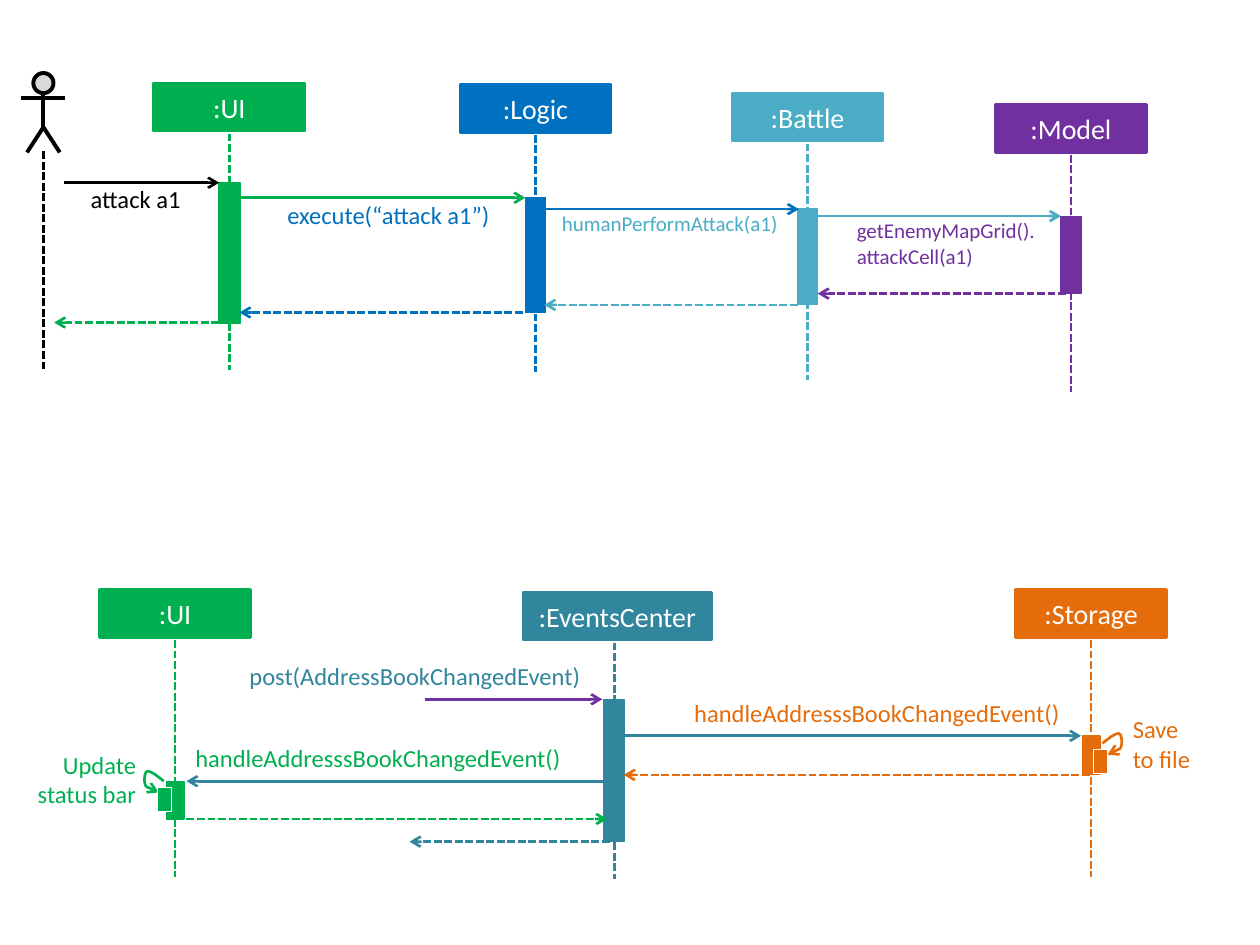
from dataclasses import dataclass

from lxml import etree
from pptx import Presentation
from pptx.dml.color import RGBColor
from pptx.enum.dml import MSO_LINE
from pptx.enum.shapes import MSO_CONNECTOR, MSO_SHAPE
from pptx.enum.text import MSO_ANCHOR, MSO_AUTO_SIZE, PP_ALIGN
from pptx.oxml.ns import qn
from pptx.util import Inches, Pt

STRAIGHT = MSO_CONNECTOR.STRAIGHT
RECTANGLE, CIRCLE = MSO_SHAPE.RECTANGLE, MSO_SHAPE.FLOWCHART_CONNECTOR
DASH = MSO_LINE.SQUARE_DOT
MIDDLE, FIT = MSO_ANCHOR.MIDDLE, MSO_AUTO_SIZE.SHAPE_TO_FIT_TEXT
LEFT, CENTER, RIGHT = PP_ALIGN.LEFT, PP_ALIGN.CENTER, PP_ALIGN.RIGHT

FONT = "Calibri"
BLACK = RGBColor(0x00, 0x00, 0x00)
WHITE = RGBColor(0xFF, 0xFF, 0xFF)
GREY = RGBColor(0xD9, 0xD9, 0xD9)
GREEN = RGBColor(0x00, 0xB0, 0x50)
BLUE = RGBColor(0x00, 0x70, 0xC0)
AQUA = RGBColor(0x4B, 0xAC, 0xC6)
PURPLE = RGBColor(0x70, 0x30, 0xA0)
TEAL = RGBColor(0x31, 0x85, 0x9C)
ORANGE = RGBColor(0xE4, 0x6C, 0x0A)

# The slide is a grid of 100 columns by 75 rows of square cells.
COLUMNS, ROWS = 100, 75
HEAD_WIDTH, HEAD_HEIGHT = 12, 3.8
LIFELINE_START, LIFELINE_END = 4, 22.8

# Start point, then two cubic curves, measured from the loop's arrow tip.
LOOP = [(0, 0), (-0.5, -0.2), (-1, -0.4), (-1.1, -0.7),
        (-1.2, -1), (-1.1, -1.7), (-0.9, -1.7), (-0.6, -1.7), (-0.1, -1.3), (0.4, -0.9)]


@dataclass
class Participant:
    name: str
    color: RGBColor
    axis: float
    top: float
    bar_top: float
    bar_height: float
    bar_width: float = 1.6
    head_width: float = HEAD_WIDTH
    head_shift: float = 0


PARTICIPANTS = [
    Participant(":UI", GREEN, 18.2, 6.6, 14.5, 11.2, 1.7),
    Participant(":Logic", BLUE, 42.5, 6.7, 15.7, 9.1),
    Participant(":Battle", AQUA, 64.1, 7.4, 16.6, 7.6),
    Participant(":Model", PURPLE, 85, 8.3, 17.2, 6.1),
    Participant(":UI", GREEN, 13.9, 46.8, 62, 3, 1.4),
    Participant(":EventsCenter", TEAL, 48.75, 47, 55.5, 11.3, head_width=15, head_shift=0.25),
    Participant(":Storage", ORANGE, 86.6, 46.8, 58.4, 3.1, 1.4),
]

# Start column, end column, row, colour; the arrowhead is at the end.
CALLS = [
    (5.1, 17.4, 14.5, BLACK), (19, 41.7, 15.7, GREEN),
    (43.3, 63.4, 16.6, BLUE), (64.9, 84.2, 17.15, AQUA),
    (33.7, 47.8, 55.5, PURPLE), (49.5, 85.8, 58.4, TEAL), (48.2, 14.8, 62, TEAL),
]
RETURNS = [
    (84.6, 64.9, 23.3, PURPLE), (63.3, 43.2, 24.2, AQUA),
    (41.5, 19, 24.8, BLUE), (17.4, 4.3, 25.6, GREEN),
    (86.5, 49.5, 61.5, ORANGE), (14.8, 48.2, 65, GREEN), (48.4, 32.5, 66.8, TEAL),
]

# Text, left, top, width, height, size, colour, alignment.
LABELS = [
    ("attack a1", 7.2, 14.6, 9.4, 2.4, 14, BLACK, LEFT),
    ("execute(“attack a1”)", 22.8, 15.9, 17.2, 2.4, 14, BLUE, LEFT),
    ("humanPerformAttack(a1)", 44.6, 16.7, 23, 2, 12, AQUA, LEFT),
    ("getEnemyMapGrid().attackCell(a1)", 68, 17.3, 14.7, 4.2, 12, PURPLE, LEFT),
    ("post(AddressBookChangedEvent)", 19.8, 52.5, 29.7, 2.4, 14, TEAL, LEFT),
    ("handleAddresssBookChangedEvent()", 55.1, 55.4, 29.1, 2.4, 14, ORANGE, LEFT),
    ("handleAddresssBookChangedEvent()", 15.5, 59, 29.1, 2.4, 14, GREEN, LEFT),
    ("Update status bar", 2.1, 59.5, 8.7, 4.7, 14, GREEN, RIGHT),
    ("Save\vto file", 89.9, 56.7, 5.9, 4.7, 14, ORANGE, LEFT),
]


def cells(*counts):
    return [Inches(count / 10) for count in counts]


def style_line(shape, color, width, dashed=False, arrow_end=None):
    """Set the outline; arrow_end is "headEnd" (first point) or "tailEnd" (last point)."""
    line = shape.line
    line.color.rgb = color
    line.width = Pt(width)
    if dashed:
        line.dash_style = DASH
    if arrow_end:
        etree.SubElement(line._get_or_add_ln(), qn(f"a:{arrow_end}"), type="arrow")


def add_line(shapes, start, end, color, width=1.5, dashed=False, arrow_end=None):
    line = shapes.add_connector(STRAIGHT, *cells(*start, *end))
    style_line(line, color, width, dashed, arrow_end)
    etree.SubElement(line._element.spPr, qn("a:effectLst"))


def add_block(shapes, kind, box, fill, outline, width):
    block = shapes.add_shape(kind, *cells(*box))
    block.shadow.inherit = False
    block.fill.solid()
    block.fill.fore_color.rgb = fill
    style_line(block, outline, width)
    return block


def add_outline(shapes, points, color, width, arrow_end=None):
    """Draw an open, unfilled path through the points."""
    first, *rest = [cells(*point) for point in points]
    builder = shapes.build_freeform(*first)
    builder.add_line_segments(rest, close=False)
    outline = builder.convert_to_shape()
    outline.shadow.inherit = False
    outline.fill.background()
    style_line(outline, color, width, arrow_end=arrow_end)
    return outline


def bend(outline):
    """Turn every three straight segments into one cubic curve."""
    segments = list(outline._element.iter(qn("a:lnTo")))
    for index in range(0, len(segments), 3):
        curve = etree.Element(qn("a:cubicBezTo"))
        segments[index].addprevious(curve)
        for segment in segments[index:index + 3]:
            curve.append(segment[0])
            segment.getparent().remove(segment)


def format_paragraph(paragraph, size, color, alignment):
    paragraph.alignment = alignment
    paragraph.font.name = FONT
    paragraph.font.size = Pt(size)
    paragraph.font.color.rgb = color


def add_participant(shapes, who):
    left = who.axis + who.head_shift - who.head_width / 2
    head = add_block(shapes, RECTANGLE, (left, who.top, who.head_width, HEAD_HEIGHT),
                     who.color, who.color, 1.5)
    frame = head.text_frame
    frame.text = who.name
    frame.vertical_anchor = MIDDLE
    format_paragraph(frame.paragraphs[0], 16, WHITE, CENTER)
    add_line(shapes, (who.axis, who.top + LIFELINE_START),
             (who.axis, who.top + LIFELINE_END), who.color, dashed=True)
    add_block(shapes, RECTANGLE,
              (who.axis - who.bar_width / 2, who.bar_top, who.bar_width, who.bar_height),
              who.color, who.color, 0.75)


def add_user(shapes, axis):
    figure = shapes.add_group_shape().shapes
    add_block(figure, CIRCLE, (axis - 0.8, 5.8, 1.6, 1.6), GREY, BLACK, 2.25)
    add_line(figure, (axis, 7.4), (axis, 10.2), BLACK, 2.25)
    add_outline(figure, [(axis - 1.3, 12.1), (axis, 10.1), (axis + 1.3, 12.1)], BLACK, 2.25)
    add_line(figure, (axis - 1.75, 7.8), (axis + 1.75, 7.8), BLACK, 2.25)
    add_line(shapes, (axis, 12), (axis, 29.5), BLACK, dashed=True)


def add_self_call(shapes, tip, bar_left, side, color):
    """Draw a looping arrow and its small bar; side is 1 for left, -1 for right."""
    x, y = tip
    call = shapes.add_group_shape().shapes
    points = [(x + side * dx, y + dy) for dx, dy in LOOP]
    bend(add_outline(call, points, color, 1.5, "headEnd"))
    add_block(call, RECTANGLE, (bar_left, y - 0.4, 1.1, 1.9), color, WHITE, 0.75)


def add_label(shapes, text, left, top, width, height, size, color, alignment):
    frame = shapes.add_textbox(*cells(left, top, width, height)).text_frame
    frame.margin_left = frame.margin_right = frame.margin_top = frame.margin_bottom = 0
    frame.word_wrap = True
    frame.auto_size = FIT
    frame.text = text
    format_paragraph(frame.paragraphs[0], size, color, alignment)


def main():
    deck = Presentation()
    deck.slide_width, deck.slide_height = cells(COLUMNS, ROWS)
    shapes = deck.slides.add_slide(deck.slide_layouts[6]).shapes
    add_user(shapes, 3.45)
    for participant in PARTICIPANTS:
        add_participant(shapes, participant)
    for messages, dashed in ((CALLS, False), (RETURNS, True)):
        for start, end, row, color in messages:
            add_line(shapes, (start, row), (end, row), color, dashed=dashed, arrow_end="tailEnd")
    add_self_call(shapes, (12.6, 62.9), 12.5, 1, GREEN)
    add_self_call(shapes, (87.9, 59.9), 86.8, -1, ORANGE)
    for label in LABELS:
        add_label(shapes, *label)
    deck.save("out.pptx")


if __name__ == "__main__":
    main()
